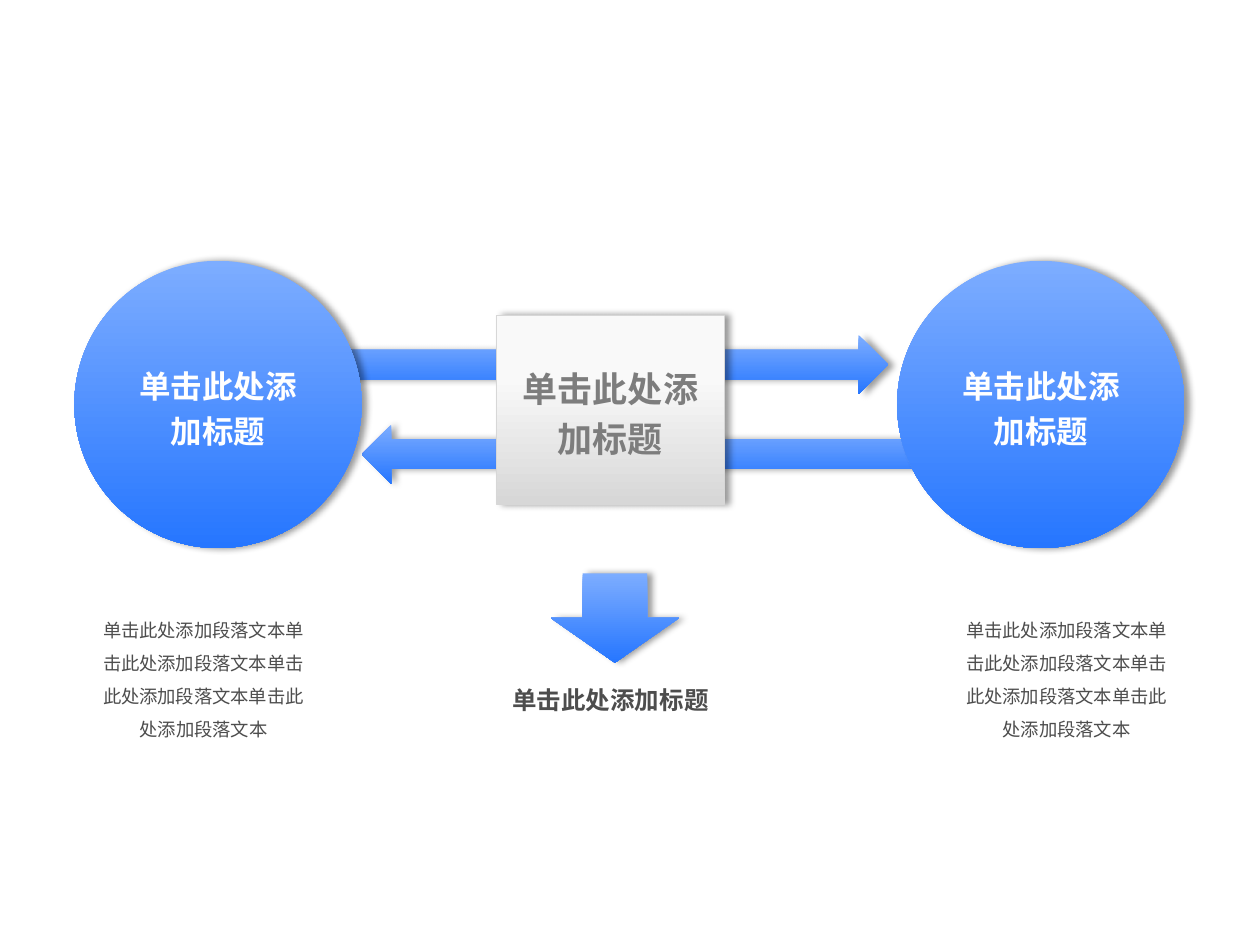
from dataclasses import dataclass

from lxml import etree
from pptx import Presentation
from pptx.dml.color import RGBColor
from pptx.enum.shapes import MSO_SHAPE
from pptx.enum.text import MSO_ANCHOR, PP_ALIGN
from pptx.oxml.ns import qn
from pptx.util import Inches, Pt

OVAL, RECTANGLE = MSO_SHAPE.OVAL, MSO_SHAPE.RECTANGLE
RIGHT_ARROW, DOWN_ARROW = MSO_SHAPE.RIGHT_ARROW, MSO_SHAPE.DOWN_ARROW
CENTER = PP_ALIGN.CENTER
MIDDLE, TOP = MSO_ANCHOR.MIDDLE, MSO_ANCHOR.TOP


@dataclass(frozen=True)
class Theme:
    font: str = "Noto Sans CJK SC"
    blue: tuple = ((0, "7DADFF"), (1, "2676FF"))
    silver: tuple = ((0.33, "F9F9F9"), (1, "D7D7D7"))
    edge: str = "D7D7D7"
    white: str = "FFFFFF"
    gray: str = "7D7D7D"
    ink: str = "4D4D4D"
    circle_size: float = 18
    center_size: float = 20
    result_size: float = 14
    body_size: float = 10.5


THEME = Theme()
TITLE = "单击此处添加标题"
BODY = "单击此处添加段落文本" * 4


def add_shadow(shape):
    shape.shadow.inherit = False
    effects = shape._element.spPr.find(qn("a:effectLst"))
    shadow = etree.SubElement(
        effects, qn("a:outerShdw"), blurRad=str(Pt(4)), dist=str(Pt(3)),
        dir="0", algn="l", rotWithShape="0")
    color = etree.SubElement(shadow, qn("a:srgbClr"), val="000000")
    etree.SubElement(color, qn("a:alpha"), val="40000")


def add_block(slide, kind, box, stops=THEME.blue, edge=None):
    block = slide.shapes.add_shape(kind, *map(Inches, box))
    block.fill.gradient()
    block.fill.gradient_angle = 270
    for stop, (position, color) in zip(block.fill.gradient_stops, stops):
        stop.position = position
        stop.color.rgb = RGBColor.from_string(color)
    if edge:
        block.line.color.rgb = RGBColor.from_string(edge)
        block.line.width = Pt(0.25)
    else:
        block.line.fill.background()
    add_shadow(block)
    return block


def write(shape, text, size, color, bold=True, spacing=1.2, anchor=MIDDLE):
    frame = shape.text_frame
    frame.word_wrap = True
    frame.vertical_anchor = anchor
    paragraph = frame.paragraphs[0]
    paragraph.text = text
    paragraph.alignment = CENTER
    paragraph.line_spacing = spacing
    font = paragraph.font
    font.size, font.bold, font.name = Pt(size), bold, THEME.font
    font.color.rgb = RGBColor.from_string(color)
    defaults = paragraph._p.pPr.find(qn("a:defRPr"))
    etree.SubElement(defaults, qn("a:ea"), typeface=THEME.font)


def add_exchange_arrows(slide, box):
    left, top, width, height = box
    thickness = 0.47
    add_block(slide, RIGHT_ARROW, (left, top, width - 0.31, thickness))
    back = add_block(slide, RIGHT_ARROW, (
        left + 0.15, top + height - thickness, width - 0.15, thickness))
    back._element.spPr.xfrm.set("flipH", "1")


def add_party(slide, box, caption_offset):
    left, top, diameter, height = box
    circle = add_block(slide, OVAL, (left, top, diameter, diameter))
    write(circle, TITLE, THEME.circle_size, THEME.white)
    caption_height = 1.16
    caption = slide.shapes.add_textbox(*map(Inches, (
        left + caption_offset, top + height - caption_height,
        1.89, caption_height)))
    write(caption, BODY, THEME.body_size, THEME.ink,
          bold=False, spacing=1.5, anchor=TOP)


def add_center(slide, box):
    left, top, width, height = box
    hub = add_block(slide, RECTANGLE, (left + 0.04, top, 1.81, 1.5),
                    THEME.silver, THEME.edge)
    write(hub, TITLE, THEME.center_size, THEME.gray)
    add_block(slide, DOWN_ARROW, (left + 0.47, top + 2.05, 1.02, 0.71))
    result_height = 0.36
    result = slide.shapes.add_textbox(*map(Inches, (
        left, top + height - result_height, width, result_height)))
    write(result, TITLE, THEME.result_size, THEME.ink, anchor=TOP)


def main():
    presentation = Presentation()
    presentation.slide_width = Inches(10)
    presentation.slide_height = Inches(7.5)
    slide = presentation.slides.add_slide(presentation.slide_layouts[6])
    add_exchange_arrows(slide, (2.72, 2.66, 4.64, 1.18))
    for left, caption_offset in ((0.59, 0.08), (7.12, 0.4)):
        add_party(slide, (left, 2.07, 2.28, 3.87), caption_offset)
    add_center(slide, (3.9, 2.5, 1.89, 3.2))
    presentation.save("out.pptx")


if __name__ == "__main__":
    main()
